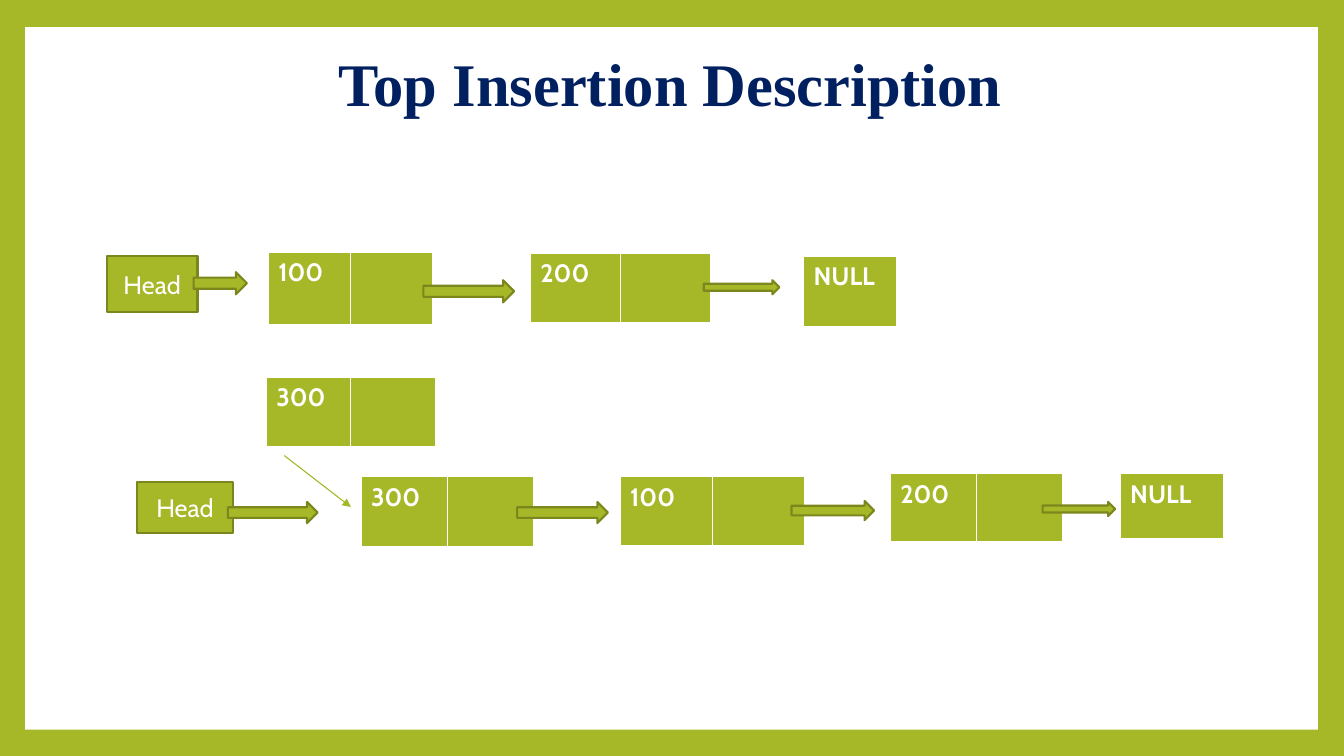
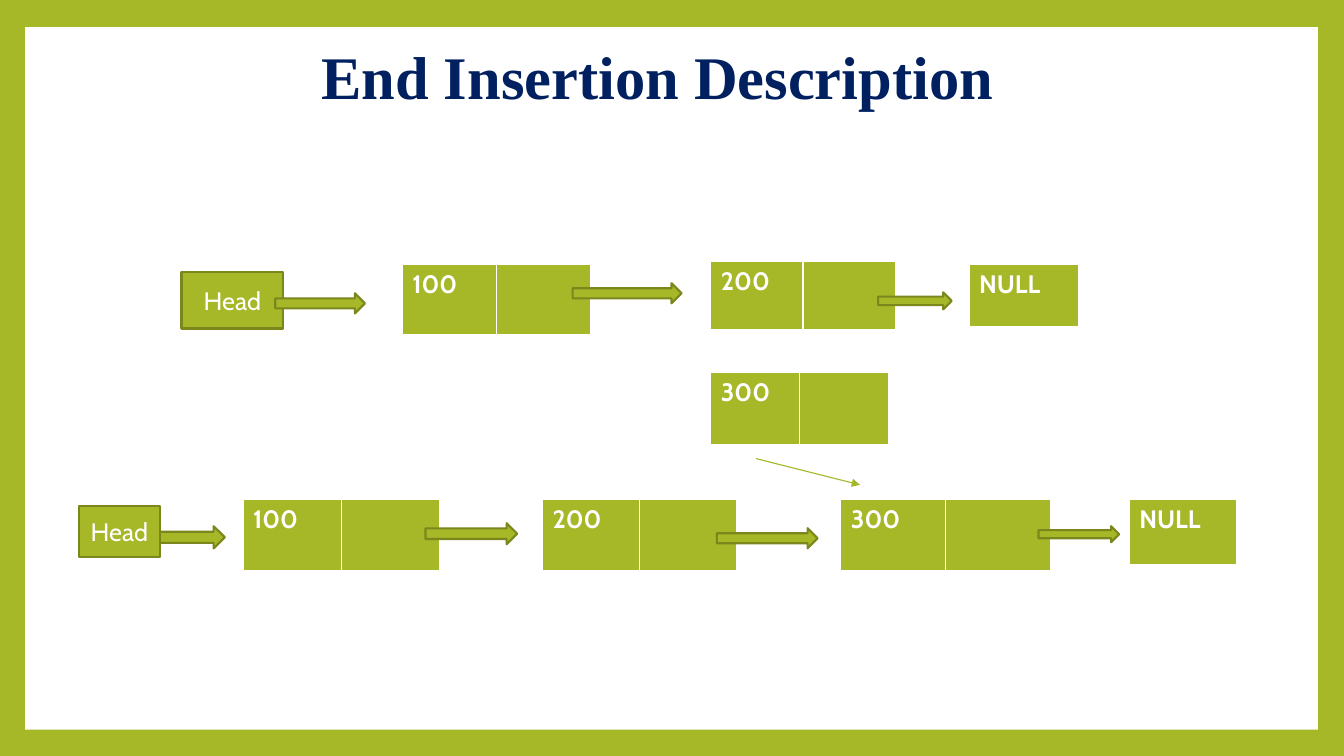
"""Build two slides that explain insertion into a linked list."""
from lxml.etree import SubElement
from pptx import Presentation
from pptx.dml.color import RGBColor
from pptx.enum.shapes import MSO_CONNECTOR as Link, MSO_SHAPE as Preset
from pptx.enum.text import MSO_ANCHOR as Anchor, PP_ALIGN as Align
from pptx.oxml.ns import qn
from pptx.util import Inches, Pt

WIDTH, HEIGHT = 13.33, 7.5
GREEN, OLIVE, WHITE, NAVY = "A6B727", "7B871D", "FFFFFF", "002060"
BODY_FONT, TITLE_FONT = "Cabin", "Times New Roman"
PANEL = (0.25, 0.27, 12.82, 6.97)
BORDERS = {"a:lnL": 1, "a:lnR": 1, "a:lnT": 1, "a:lnB": 3}

SLIDES = [
    {
        "title": ("Top Insertion Description", (1.25, 0.5, 10.8, 0.73)),
        "nodes": [
            ("100", (2.66, 2.5, 1.63, 0.73)),
            ("200", (5.26, 2.51, 1.79, 0.7)),
            ("NULL", (7.97, 2.54, 0.92, 0.71)),
            ("300", (2.64, 3.74, 1.68, 0.7)),
            ("300", (3.58, 4.73, 1.71, 0.71)),
            ("100", (6.15, 4.73, 1.83, 0.7)),
            ("200", (8.83, 4.7, 1.71, 0.69)),
            ("NULL", (11.11, 4.7, 1.03, 0.66)),
        ],
        "insertion": ((2.82, 4.52), (3.48, 5.03)),
        "pointers": [
            ("Head", (1.06, 2.54, 0.9, 0.56)),
            ("", (1.92, 2.7, 0.53, 0.22)),
            ("", (4.2, 2.78, 0.9, 0.22)),
            ("", (6.98, 2.78, 0.75, 0.14)),
            ("Head", (1.36, 4.78, 0.95, 0.51)),
            ("", (2.26, 4.98, 0.89, 0.21)),
            ("", (5.13, 4.98, 0.9, 0.21)),
            ("", (7.85, 4.97, 0.82, 0.19)),
            ("", (10.34, 4.98, 0.72, 0.14)),
        ],
    },
    {
        "title": ("End Insertion Description", (1.12, 0.39, 10.8, 0.8)),
        "nodes": [
            ("100", (3.99, 2.62, 1.87, 0.71)),
            ("200", (7.05, 2.59, 1.83, 0.69)),
            ("NULL", (9.61, 2.62, 1.09, 0.63)),
            ("300", (7.05, 3.69, 1.76, 0.73)),
            ("100", (2.41, 4.95, 1.95, 0.72)),
            ("200", (5.38, 4.95, 1.93, 0.72)),
            ("300", (8.34, 4.95, 2.08, 0.72)),
            ("NULL", (11.2, 4.95, 1.06, 0.66)),
        ],
        "insertion": ((7.5, 4.55), (8.53, 4.81)),
        "pointers": [
            ("Head", (1.8, 2.7, 1.01, 0.56)),
            ("", (2.73, 2.91, 0.89, 0.2)),
            ("", (5.68, 2.81, 1.08, 0.2)),
            ("", (8.71, 2.9, 0.73, 0.17)),
            ("", (1.56, 5.22, 0.67, 0.22)),
            ("Head", (0.78, 5.02, 0.81, 0.51)),
            ("", (4.22, 5.19, 0.91, 0.21)),
            ("", (7.11, 5.24, 1, 0.2)),
            ("", (10.3, 5.22, 0.8, 0.16)),
        ],
    },
]


def color(value):
    return RGBColor.from_string(value)


def inches(values):
    return [Inches(value) for value in values]


def write(frame, text, size=18, font=BODY_FONT, ink=WHITE, bold=False,
          align=Align.LEFT, spacing=None):
    para = frame.paragraphs[0]
    para.alignment = align
    para.line_spacing = spacing
    span = para.add_run()
    span.text = text
    span.font.size, span.font.name, span.font.bold = Pt(size), font, bold
    span.font.color.rgb = color(ink)


def add_block(page, preset, place, fill=GREEN, line=OLIVE):
    block = page.shapes.add_shape(preset, *inches(place))
    block.shadow.inherit = False
    block.fill.solid()
    block.fill.fore_color.rgb = color(fill)
    if line:
        block.line.color.rgb = color(line)
        block.line.width = Pt(1.5)
    else:
        block.line.fill.background()
    return block


def add_title(page, text, place):
    box = page.shapes.add_textbox(*inches(place))
    frame = box.text_frame
    frame.word_wrap = True
    frame.vertical_anchor = Anchor.MIDDLE
    write(frame, text, size=43.2, font=TITLE_FONT, ink=NAVY, bold=True,
          align=Align.CENTER, spacing=0.9)


def add_border(cell, side, width):
    edge = SubElement(cell._tc.get_or_add_tcPr(), qn(side), w=str(Pt(width)))
    SubElement(SubElement(edge, qn("a:solidFill")), qn("a:srgbClr"), val=WHITE)


def add_node(page, text, place):
    count = 1 if text == "NULL" else 2
    table = page.shapes.add_table(1, count, *inches(place)).table
    table.first_row = table.horz_banding = False
    for column in table.columns:
        column.width = Inches(place[2] / count)
    for cell in table.iter_cells():
        for side, width in BORDERS.items():
            add_border(cell, side, width)
        cell.fill.solid()
        cell.fill.fore_color.rgb = color(GREEN)
    write(table.cell(0, 0).text_frame, text, bold=True)


def add_insertion(page, start, end):
    arrow = page.shapes.add_connector(Link.STRAIGHT, *inches(start + end))
    arrow.line.color.rgb = color(GREEN)
    arrow.line.width = Pt(0.79)
    SubElement(arrow.line._get_or_add_ln(), qn("a:tailEnd"), type="triangle")
    SubElement(arrow.element.spPr, qn("a:effectLst"))


def add_pointer(page, text, place):
    block = add_block(page, Preset.RECTANGLE if text else Preset.RIGHT_ARROW, place)
    if text:
        block.text_frame.vertical_anchor = Anchor.MIDDLE
        write(block.text_frame, text, align=Align.CENTER)


def style_master(deck, page):
    master = deck.slide_master
    master.background.fill.solid()
    master.background.fill.fore_color.rgb = color(GREEN)
    panel = add_block(page, Preset.RECTANGLE, PANEL, fill=WHITE, line=None)
    master.shapes.element.insert(2, panel.element)


def main():
    deck = Presentation()
    deck.slide_width, deck.slide_height = inches((WIDTH, HEIGHT))
    pages = [deck.slides.add_slide(deck.slide_layouts[6]) for _ in SLIDES]
    style_master(deck, pages[0])
    for page, content in zip(pages, SLIDES):
        add_title(page, *content["title"])
        for text, place in content["nodes"]:
            add_node(page, text, place)
        add_insertion(page, *content["insertion"])
        for text, place in content["pointers"]:
            add_pointer(page, text, place)
    deck.save("out.pptx")


if __name__ == "__main__":
    main()
